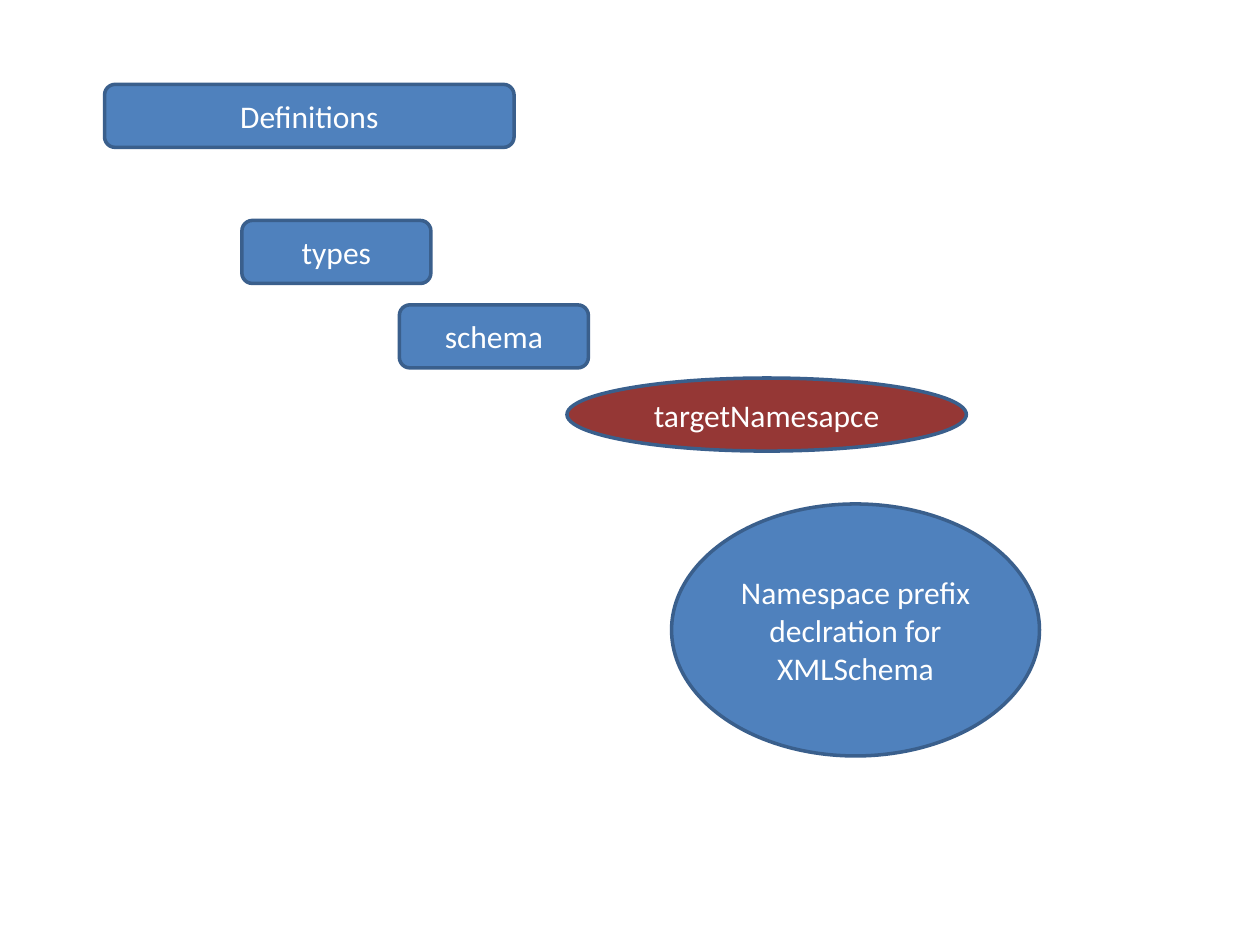
from pptx import Presentation
from pptx.dml.color import RGBColor
from pptx.enum.shapes import MSO_SHAPE as SHAPE
from pptx.enum.text import MSO_ANCHOR as ANCHOR, PP_ALIGN as ALIGN
from pptx.util import Inches, Pt

BLUE, RED, OUTLINE, WHITE = "4F81BD", "953735", "3A5F8C", "FFFFFF"
LABEL_FONT = {"name": "Calibri", "size": Pt(18)}
LABEL_FRAME = {"word_wrap": True, "vertical_anchor": ANCHOR.MIDDLE}


def paint(color_format, color):
    color_format.rgb = RGBColor.from_string(color)


def apply(target, values):
    for name, value in values.items():
        setattr(target, name, value)


def add_node(slide, outline, label, box, color=BLUE):
    node = slide.shapes.add_shape(outline, *map(Inches, box))
    node.shadow.inherit = False
    node.fill.solid()
    paint(node.fill.fore_color, color)
    paint(node.line.color, OUTLINE)
    node.line.width = Pt(2)

    # Centred label
    apply(node.text_frame, LABEL_FRAME)
    paragraph = node.text_frame.paragraphs[0]
    paragraph.alignment = ALIGN.CENTER
    run = paragraph.add_run()
    run.text = label
    apply(run.font, LABEL_FONT)
    paint(run.font.color, WHITE)


def add_element(slide, label, left, top, width=1.5):
    add_node(slide, SHAPE.ROUNDED_RECTANGLE, label, (left, top, width, 0.5))


def add_attribute(slide, label, box, color=BLUE):
    add_node(slide, SHAPE.OVAL, label, box, color)


def main():
    deck = Presentation()
    deck.slide_width, deck.slide_height = Inches(10), Inches(7.5)
    slide = deck.slides.add_slide(deck.slide_layouts[6])

    # Nested elements
    add_element(slide, "Definitions", 0.83, 0.67, width=3.25)
    add_element(slide, "types", 1.92, 1.75)
    add_element(slide, "schema", 3.17, 2.42)

    # Schema attributes
    add_attribute(slide, "targetNamesapce", (4.5, 3, 3.17, 0.58), RED)
    add_attribute(slide, "Namespace prefix declration for XMLSchema",
                  (5.33, 4, 2.92, 2))

    deck.save("out.pptx")


main()
